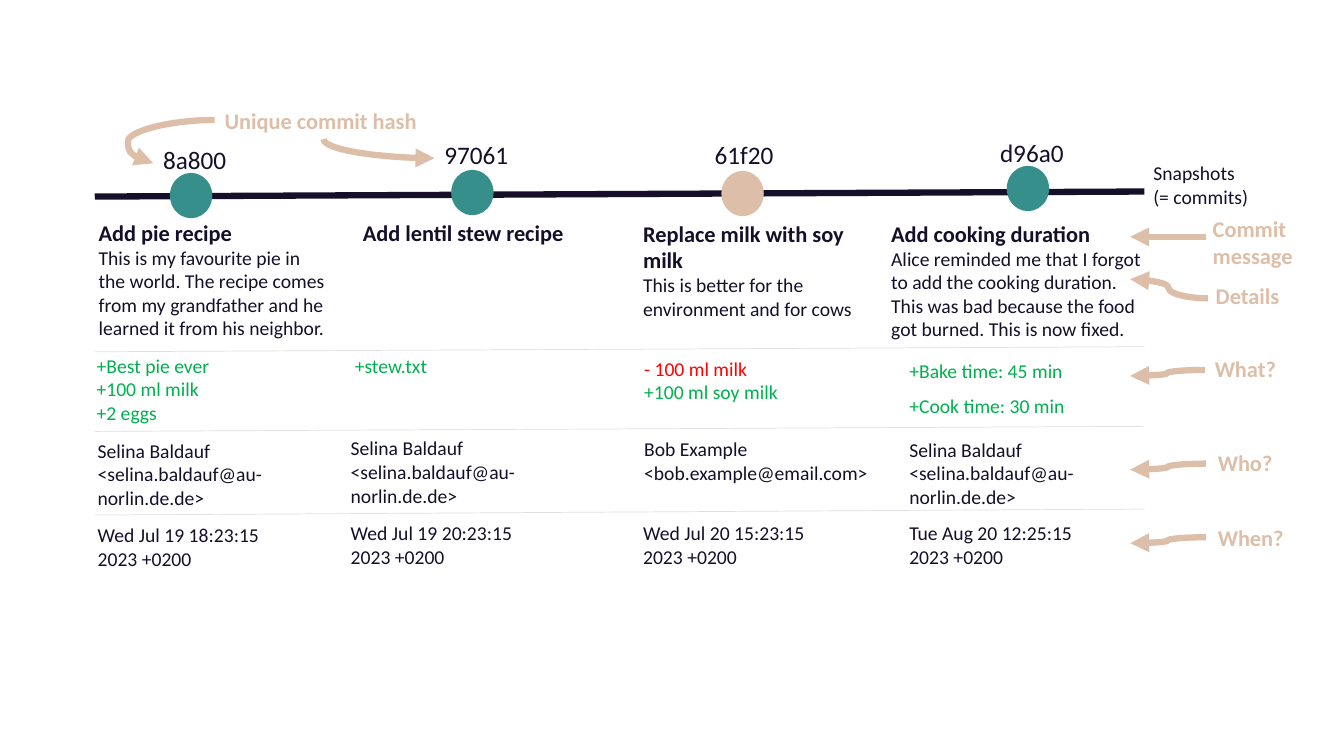
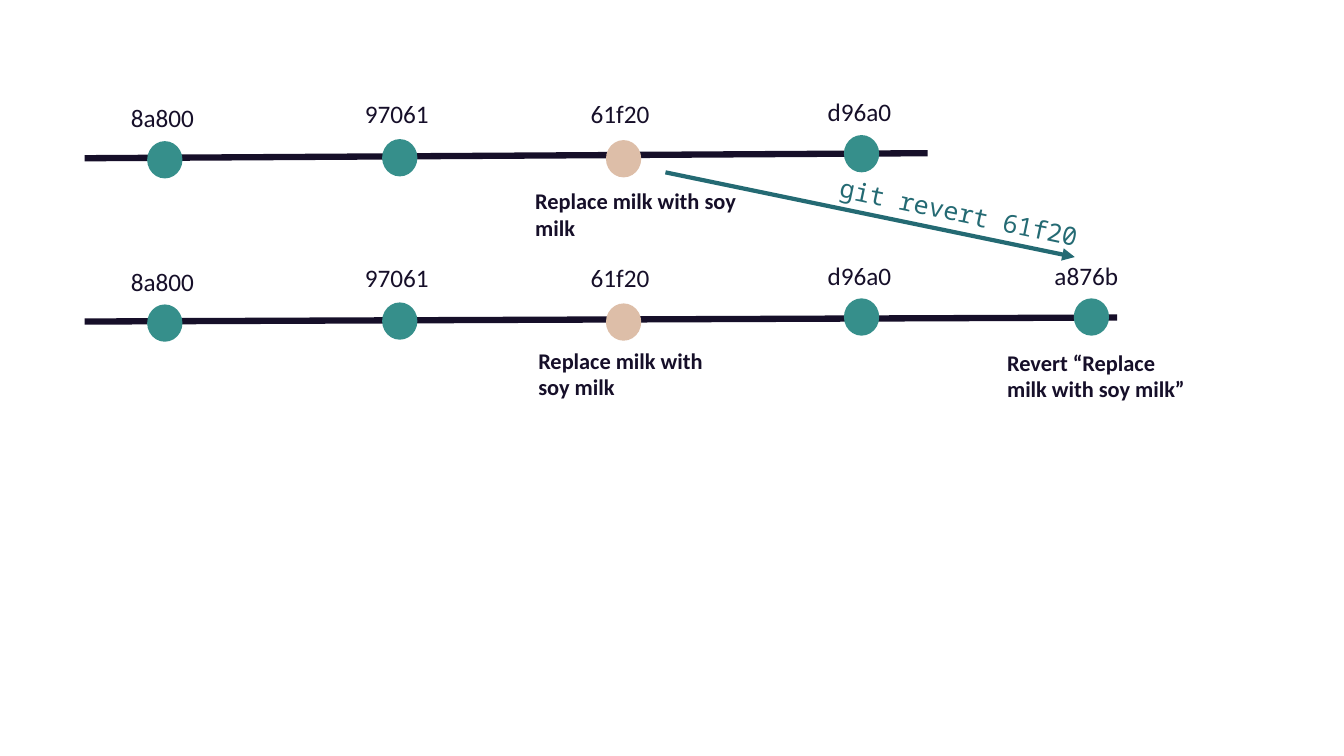
from dataclasses import dataclass

from lxml import etree
from pptx import Presentation
from pptx.dml.color import RGBColor
from pptx.enum.shapes import MSO_CONNECTOR, MSO_SHAPE
from pptx.enum.text import MSO_AUTO_SIZE
from pptx.oxml.ns import qn
from pptx.shapes.connector import Connector
from pptx.slide import Slide
from pptx.util import Emu, Pt

ELLIPSE = MSO_SHAPE.OVAL
STRAIGHT = MSO_CONNECTOR.STRAIGHT
CURVE = MSO_CONNECTOR.CURVE
FIT_SHAPE = MSO_AUTO_SIZE.SHAPE_TO_FIT_TEXT

EMU_PER_PX = 9144  # 100 px to the inch
SLIDE_WIDTH, SLIDE_HEIGHT = 1333, 750

INK = RGBColor(0x16, 0x0F, 0x29)
TEAL = RGBColor(0x36, 0x8F, 0x8B)
DEEP_TEAL = RGBColor(0x24, 0x6A, 0x73)
SAND = RGBColor(0xDD, 0xBE, 0xA8)
GREEN = RGBColor(0x00, 0xB0, 0x50)
RED = RGBColor(0xFF, 0x00, 0x00)
RULE_GREY = RGBColor(0xDF, 0xDF, 0xDF)


@dataclass(frozen=True)
class Style:
    size: int
    color: RGBColor = INK
    bold: bool = False
    font: str = "Calibri"


HASH = Style(18)
HEADING = Style(16, bold=True)
BODY = Style(14)
ADDED = Style(14, GREEN)
REMOVED = Style(14, RED)
NOTE = Style(16, SAND, bold=True)
COMMAND = Style(18, DEEP_TEAL, font="Noto Sans Mono")


@dataclass(frozen=True)
class Label:
    left: int
    top: int
    width: int
    height: int
    lines: tuple[tuple[str, Style], ...]
    rotation: int = 0


@dataclass(frozen=True)
class Snapshot:
    name: str
    dot_left: int
    dot_top: int
    name_left: int
    name_top: int
    name_width: int
    color: RGBColor = TEAL


@dataclass(frozen=True)
class Timeline:
    start: tuple[int, int]
    end: tuple[int, int]
    dot_size: tuple[int, int]
    name_height: int
    snapshots: tuple[Snapshot, ...]


@dataclass(frozen=True)
class NoteArrow:
    start: tuple[int, int]
    end: tuple[int, int]


def px(length: int) -> Emu:
    return Emu(length * EMU_PER_PX)


def add_label(slide: Slide, label: Label) -> None:
    box = slide.shapes.add_textbox(
        px(label.left), px(label.top), px(label.width), px(label.height)
    )
    box.rotation = label.rotation
    frame = box.text_frame
    frame.word_wrap = True
    frame.auto_size = FIT_SHAPE
    for index, (text, style) in enumerate(label.lines):
        paragraph = frame.add_paragraph() if index else frame.paragraphs[0]
        paragraph.text = text
        paragraph.font.name = style.font
        paragraph.font.size = Pt(style.size)
        paragraph.font.bold = style.bold
        paragraph.font.color.rgb = style.color


def add_line(
    slide: Slide,
    start: tuple[int, int],
    end: tuple[int, int],
    color: RGBColor,
    weight: float,
    kind: MSO_CONNECTOR = STRAIGHT,
    arrow_end: str = "",
) -> Connector:
    line = slide.shapes.add_connector(
        kind, px(start[0]), px(start[1]), px(end[0]), px(end[1])
    )
    line.line.color.rgb = color
    line.line.width = Pt(weight)
    properties = line.element.spPr
    if arrow_end:
        outline = properties.find(qn("a:ln"))
        etree.SubElement(outline, qn(f"a:{arrow_end}"), type="triangle")
    etree.SubElement(properties, qn("a:effectLst"))
    return line


def add_timeline(slide: Slide, timeline: Timeline, shift: int = 0) -> None:
    (start_x, start_y), (end_x, end_y) = timeline.start, timeline.end
    add_line(slide, (start_x, start_y + shift), (end_x, end_y + shift), INK, 4.5)
    width, height = timeline.dot_size
    for snapshot in timeline.snapshots:
        dot = slide.shapes.add_shape(
            ELLIPSE,
            px(snapshot.dot_left),
            px(snapshot.dot_top + shift),
            px(width),
            px(height),
        )
        dot.rotation = 270
        dot.shadow.inherit = False
        dot.fill.solid()
        dot.fill.fore_color.rgb = snapshot.color
        dot.line.fill.background()
        add_label(slide, Label(
            snapshot.name_left, snapshot.name_top + shift,
            snapshot.name_width, timeline.name_height, ((snapshot.name, HASH),),
        ))


# Slide 1: parts of a commit
HISTORY = Timeline((94, 195), (1135, 190), (45, 42), 49, (
    Snapshot("8a800", 167, 173, 152, 138, 160),
    Snapshot("97061", 446, 170, 431, 133, 181),
    Snapshot("61f20", 714, 171, 699, 133, 129, SAND),
    Snapshot("d96a0", 997, 166, 982, 131, 155),
))

SELINA = "Selina Baldauf"
SELINA_MAIL = "<selina.baldauf@au-norlin.de.de>"
SELINA_LINE = ((f"{SELINA} {SELINA_MAIL}", BODY),)

COMMIT_LABELS = (
    Label(1134, 155, 155, 69, (("Snapshots", BODY), ("(= commits)", BODY))),
    # Messages and details
    Label(88, 212, 250, 131, (
        ("Add pie recipe", HEADING),
        ("This is my favourite pie in the world. The recipe comes from my "
         "grandfather and he learned it from his neighbor.", BODY),
    )),
    Label(350, 213, 279, 44, (("Add lentil stew recipe", HEADING),)),
    Label(628, 213, 262, 111, (
        ("Replace milk with soy milk", HEADING),
        ("This is better for the environment and for cows", BODY),
    )),
    Label(874, 213, 268, 131, (
        ("Add cooking duration", HEADING),
        ("Alice reminded me that I forgot to add the cooking duration. This "
         "was bad because the food got burned. This is now fixed.", BODY),
    )),
    # Changes
    Label(86, 346, 204, 81, (
        ("+Best pie ever", ADDED), ("+100 ml milk", ADDED), ("+2 eggs", ADDED),
    )),
    Label(342, 346, 275, 34, (("+stew.txt", ADDED),)),
    Label(629, 349, 279, 57, (
        ("- 100 ml milk", REMOVED), ("+100 ml soy milk", ADDED),
    )),
    Label(892, 351, 279, 34, (("+Bake time: 45 min", ADDED),)),
    Label(892, 386, 279, 34, (("+Cook time: 30 min", ADDED),)),
    # Authors
    Label(87, 430, 264, 81, SELINA_LINE),
    Label(338, 428, 264, 81, SELINA_LINE),
    Label(629, 429, 251, 57, (("Bob Example <bob.example@email.com>", BODY),)),
    Label(892, 429, 275, 81, ((SELINA, BODY), (SELINA_MAIL, BODY))),
    # Dates
    Label(87, 514, 219, 57, (("Wed Jul 19 18:23:15 2023 +0200", BODY),)),
    Label(338, 512, 219, 57, (("Wed Jul 19 20:23:15 2023 +0200", BODY),)),
    Label(628, 512, 219, 57, (("Wed Jul 20 15:23:15 2023 +0200", BODY),)),
    Label(892, 512, 219, 57, (("Tue Aug 20 12:25:15 2023 +0200", BODY),)),
    # Notes
    Label(213, 101, 217, 37, (("Unique commit hash", NOTE),)),
    Label(1193, 209, 134, 64, (("Commit message", NOTE),)),
    Label(1196, 275, 134, 37, (("Details", NOTE),)),
    Label(1195, 347, 134, 37, (("What?", NOTE),)),
    Label(1198, 441, 134, 37, (("Who?", NOTE),)),
    Label(1198, 515, 134, 37, (("When?", NOTE),)),
)

ROW_RULES = ((349, 344), (428, 423), (511, 505))

NOTE_ARROWS = (
    NoteArrow((1196, 235), (1121, 235)),
    NoteArrow((1198, 296), (1121, 277)),
    NoteArrow((1195, 367), (1121, 373)),
    NoteArrow((1196, 460), (1121, 466)),
    NoteArrow((1196, 533), (1121, 539)),
)

# Slide 2: reverting a commit
BEFORE_REVERT = Timeline((84, 157), (920, 152), (37, 35), 40, (
    Snapshot("8a800", 145, 141, 120, 97, 134),
    Snapshot("97061", 378, 139, 352, 93, 150),
    Snapshot("61f20", 600, 140, 576, 93, 107, SAND),
    Snapshot("d96a0", 836, 135, 811, 91, 129),
))
AFTER_REVERT = Timeline((84, 157), (1108, 153), (37, 35), 40, (
    *BEFORE_REVERT.snapshots,
    Snapshot("a876b", 1064, 135, 1036, 91, 129),
))
TIMELINE_GAP = 162

REPLACE_LINE = (("Replace milk with soy milk", HEADING),)
REVERT_LABELS = (
    Label(521, 181, 242, 64, REPLACE_LINE),
    Label(524, 339, 202, 64, REPLACE_LINE),
    Label(989, 341, 202, 64, (("Revert “Replace milk with soy milk”", HEADING),)),
    Label(821, 193, 282, 40, (("git revert 61f20", COMMAND),), rotation=12),
)


def build_commit_slide(slide: Slide) -> None:
    add_timeline(slide, HISTORY)
    for left_y, right_y in ROW_RULES:
        add_line(slide, (94, left_y), (1135, right_y), RULE_GREY, 0.5)
    for label in COMMIT_LABELS:
        add_label(slide, label)
    for arrow in NOTE_ARROWS:
        add_line(slide, arrow.start, arrow.end, SAND, 4.5, CURVE, "tailEnd")

    # Arrow looping out to the left of the first hash
    loop = add_line(slide, (213, 119), (152, 162), SAND, 4.5, CURVE, "tailEnd")
    adjustments = loop.element.spPr.find(qn("a:prstGeom")).find(qn("a:avLst"))
    etree.SubElement(adjustments, qn("a:gd"), name="adj1", fmla="val 141300")

    # Quarter bend, drawn from its arrowhead back to the note
    bend = add_line(slide, (431, 157), (321, 138), SAND, 4.5, CURVE, "headEnd")
    bend.element.spPr.find(qn("a:prstGeom")).set("prst", "curvedConnector2")


def build_revert_slide(slide: Slide) -> None:
    add_timeline(slide, BEFORE_REVERT)
    add_timeline(slide, AFTER_REVERT, TIMELINE_GAP)
    add_line(slide, (660, 171), (1066, 255), DEEP_TEAL, 3, arrow_end="tailEnd")
    for label in REVERT_LABELS:
        add_label(slide, label)


def main() -> None:
    presentation = Presentation()
    presentation.slide_width = px(SLIDE_WIDTH)
    presentation.slide_height = px(SLIDE_HEIGHT)
    blank = presentation.slide_layouts[6]
    for build in (build_commit_slide, build_revert_slide):
        build(presentation.slides.add_slide(blank))
    presentation.save("out.pptx")


if __name__ == "__main__":
    main()
